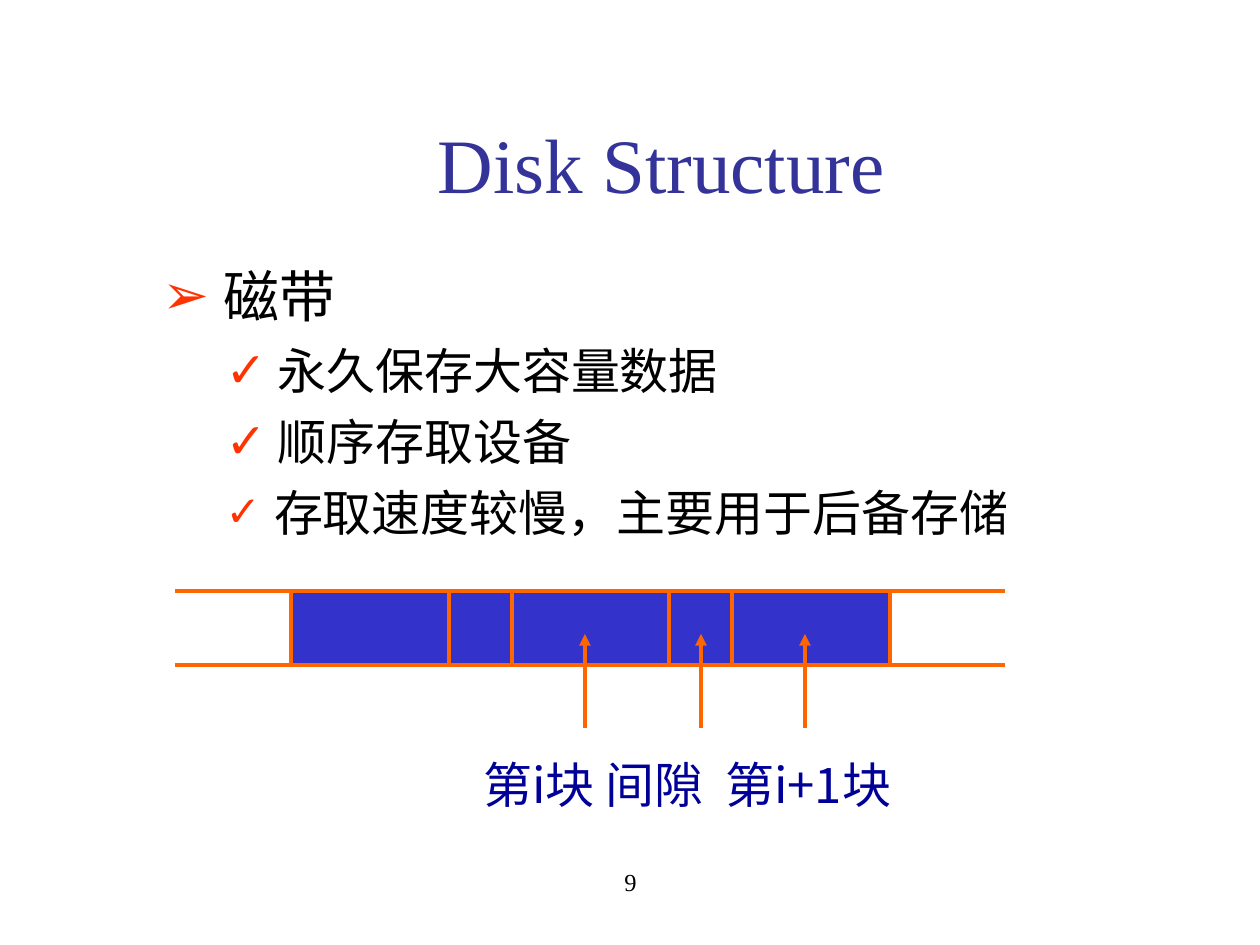
"""Build the slide on magnetic tape: title, bullet list and block diagram."""
from dataclasses import dataclass
from itertools import pairwise

from lxml import etree
from pptx import Presentation
from pptx.dml.color import RGBColor
from pptx.enum.shapes import MSO_CONNECTOR, MSO_SHAPE
from pptx.enum.text import MSO_ANCHOR, MSO_AUTO_SIZE, PP_ALIGN
from pptx.oxml.ns import qn
from pptx.util import Emu, Pt

STRAIGHT = MSO_CONNECTOR.STRAIGHT
RECTANGLE = MSO_SHAPE.RECTANGLE
MIDDLE, TOP = MSO_ANCHOR.MIDDLE, MSO_ANCHOR.TOP
NO_AUTOFIT = MSO_AUTO_SIZE.NONE
CENTER, LEFT = PP_ALIGN.CENTER, PP_ALIGN.LEFT

BLACK = RGBColor(0x00, 0x00, 0x00)
INDIGO = RGBColor(0x33, 0x33, 0x99)
NAVY = RGBColor(0x00, 0x00, 0x99)
BLUE = RGBColor(0x33, 0x33, 0xCC)
ORANGE = RGBColor(0xFF, 0x66, 0x00)
RED = RGBColor(0xFF, 0x33, 0x00)

SERIF, SANS = "Times New Roman", "Noto Sans CJK SC"
PX_PER_INCH = 126
LINE_WIDTH = Pt(2.25)

TAPE_LEFT, TAPE_RIGHT = 175, 1005
TAPE_TOP, TAPE_BOTTOM = 591, 665
BLOCK_EDGES = (291, 449, 512, 669, 732, 890)
ARROW_CENTERS = (585, 701, 805)
ARROW_START, ARROW_TIP = 728, 634


@dataclass(frozen=True)
class Level:
    """Format of one list level, with lengths in px."""
    depth: int
    mark: str
    margin: int
    hanging: int
    space_before: int
    size: int
    font: str


@dataclass(frozen=True)
class Item:
    """One list entry; mark_size sets the size of its bullet and lead space."""
    text: str
    level: Level
    mark_size: int


TOPIC = Level(0, "➢", 48, 48, 8, 32, SERIF)
DETAIL = Level(1, "✓", 102, 39, 7, 28, SANS)
ITEMS = (
    Item("磁带", TOPIC, 32),
    Item("永久保存大容量数据", DETAIL, 28),
    Item("顺序存取设备", DETAIL, 28),
    Item("存取速度较慢，主要用于后备存储", DETAIL, 24),
)


def px(length: int) -> Emu:
    """Turn px into EMU."""
    return Emu(round(length * 914400 / PX_PER_INCH))


def place(shape, left: int, top: int, width: int, height: int) -> None:
    """Move and size a shape."""
    shape.left, shape.top = px(left), px(top)
    shape.width, shape.height = px(width), px(height)


def write(paragraph, text: str, *, size: int, color: RGBColor = BLACK,
          font: str = SERIF, align: PP_ALIGN = LEFT) -> None:
    """Add a formatted run to a paragraph."""
    paragraph.alignment = align
    run = paragraph.add_run()
    run.text = text
    run.font.size = Pt(size)
    run.font.color.rgb = color
    run.font.name = font
    etree.SubElement(run._r.get_or_add_rPr(), qn("a:ea"), typeface=SANS)


def prepare_frame(shape, anchor: MSO_ANCHOR):
    """Set wrapping and anchor, and return the first paragraph."""
    frame = shape.text_frame
    frame.word_wrap = True
    frame.auto_size = NO_AUTOFIT
    frame.vertical_anchor = anchor
    return frame.paragraphs[0]


def add_label(slide, text: str, left: int, top: int, width: int, height: int,
              anchor: MSO_ANCHOR, **text_format) -> None:
    """Add a text box with one formatted line."""
    label = slide.shapes.add_textbox(px(left), px(top), px(width), px(height))
    write(prepare_frame(label, anchor), text, **text_format)


def set_bullet(paragraph, level: Level) -> None:
    """Give a paragraph the indent and bullet of its level."""
    paragraph.level = level.depth
    paragraph.space_before = Pt(level.space_before)
    properties = paragraph._p.get_or_add_pPr()
    properties.set("marL", str(px(level.margin)))
    properties.set("indent", str(px(-level.hanging)))
    bullet_color = etree.SubElement(properties, qn("a:buClr"))
    etree.SubElement(bullet_color, qn("a:srgbClr"), val=str(RED))
    etree.SubElement(properties, qn("a:buChar"), char=level.mark)


def fill_list(body) -> None:
    """Write the bullet list into the body placeholder."""
    paragraph = prepare_frame(body, TOP)
    for index, item in enumerate(ITEMS):
        if index:
            paragraph = body.text_frame.add_paragraph()
        set_bullet(paragraph, item.level)
        write(paragraph, " ", size=item.mark_size, font=item.level.font)
        write(paragraph, item.text, size=item.level.size, font=item.level.font)


def add_block(slide, left: int, right: int) -> None:
    """Draw one section of the tape."""
    block = slide.shapes.add_shape(RECTANGLE, px(left), px(TAPE_TOP),
                                   px(right - left), px(TAPE_BOTTOM - TAPE_TOP))
    block.shadow.inherit = False
    block.fill.solid()
    block.fill.fore_color.rgb = BLUE
    block.line.color.rgb = ORANGE
    block.line.width = LINE_WIDTH


def add_line(slide, start: tuple[int, int], end: tuple[int, int],
             arrow: bool = False) -> None:
    """Draw a straight line, with an arrowhead at its end if asked."""
    line = slide.shapes.add_connector(STRAIGHT, *map(px, start + end))
    line.line.color.rgb = ORANGE
    line.line.width = LINE_WIDTH
    if arrow:
        etree.SubElement(line.get_or_add_ln(), qn("a:tailEnd"), type="triangle")
    etree.SubElement(line._element.spPr, qn("a:effectLst"))


def draw_tape(slide) -> None:
    """Draw the blocks, the tape edges and the pointers."""
    for left, right in pairwise(BLOCK_EDGES):
        add_block(slide, left, right)
    for edge in (TAPE_TOP, TAPE_BOTTOM):
        add_line(slide, (BLOCK_EDGES[0], edge), (TAPE_LEFT, edge))
        add_line(slide, (TAPE_RIGHT, edge), (BLOCK_EDGES[-1], edge))
    for center in ARROW_CENTERS:
        add_line(slide, (center, ARROW_START), (center, ARROW_TIP), arrow=True)


def main() -> None:
    """Build and save the presentation."""
    presentation = Presentation()
    presentation.slide_width, presentation.slide_height = px(1260), px(945)
    slide = presentation.slides.add_slide(presentation.slide_layouts[1])
    title, body = slide.placeholders

    place(title, 126, 84, 1071, 158)
    write(prepare_frame(title, MIDDLE), "Disk Structure",
          size=44, color=INDIGO, align=CENTER)
    place(body, 150, 255, 1016, 585)
    fill_list(body)

    draw_tape(slide)
    add_label(slide, "第i块 间隙  第i+1块", 471, 748, 557, 72, MIDDLE,
              size=28, color=NAVY, font=SANS)
    add_label(slide, "9", 431, 861, 399, 63, TOP, size=14, align=CENTER)
    presentation.save("out.pptx")


if __name__ == "__main__":
    main()
